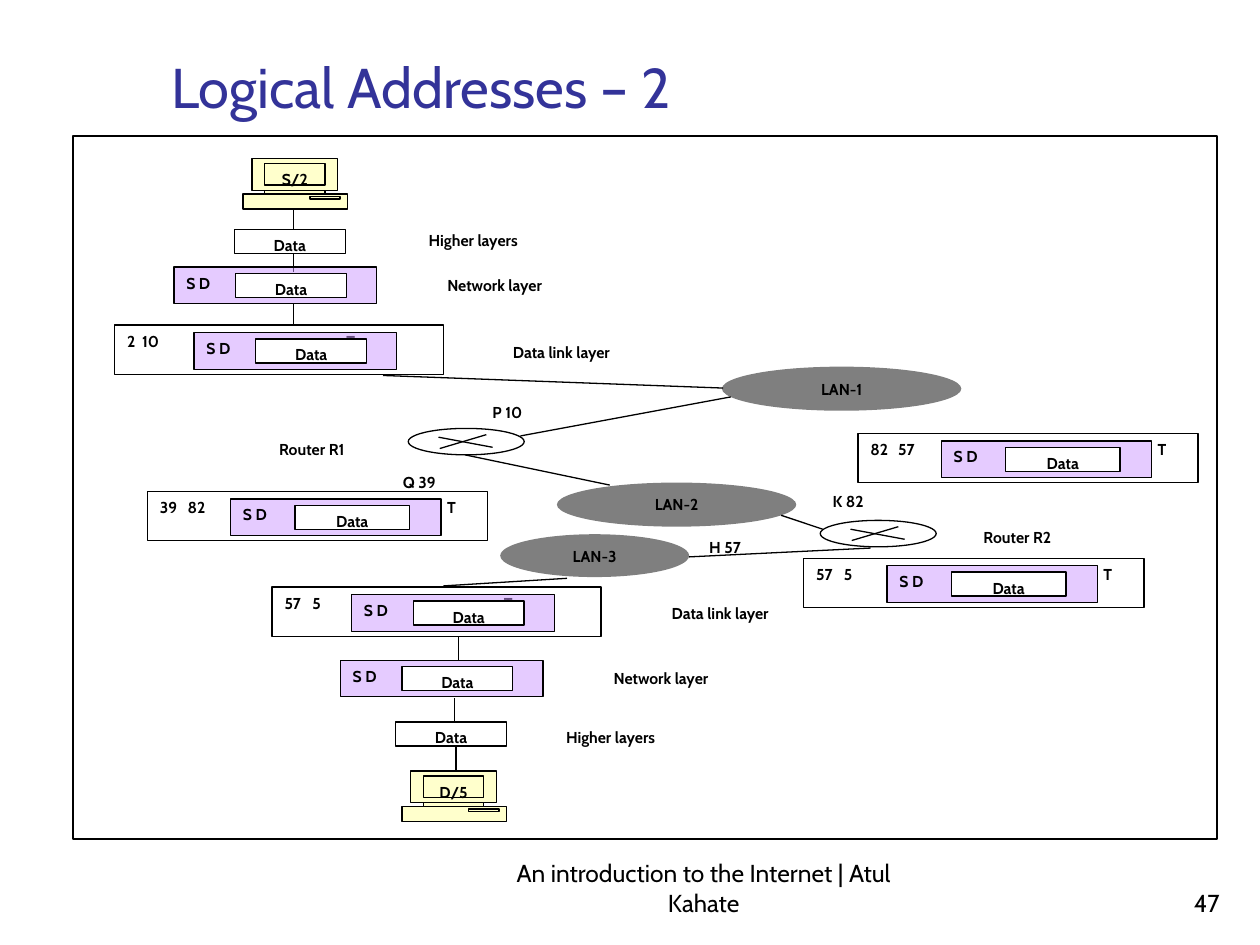
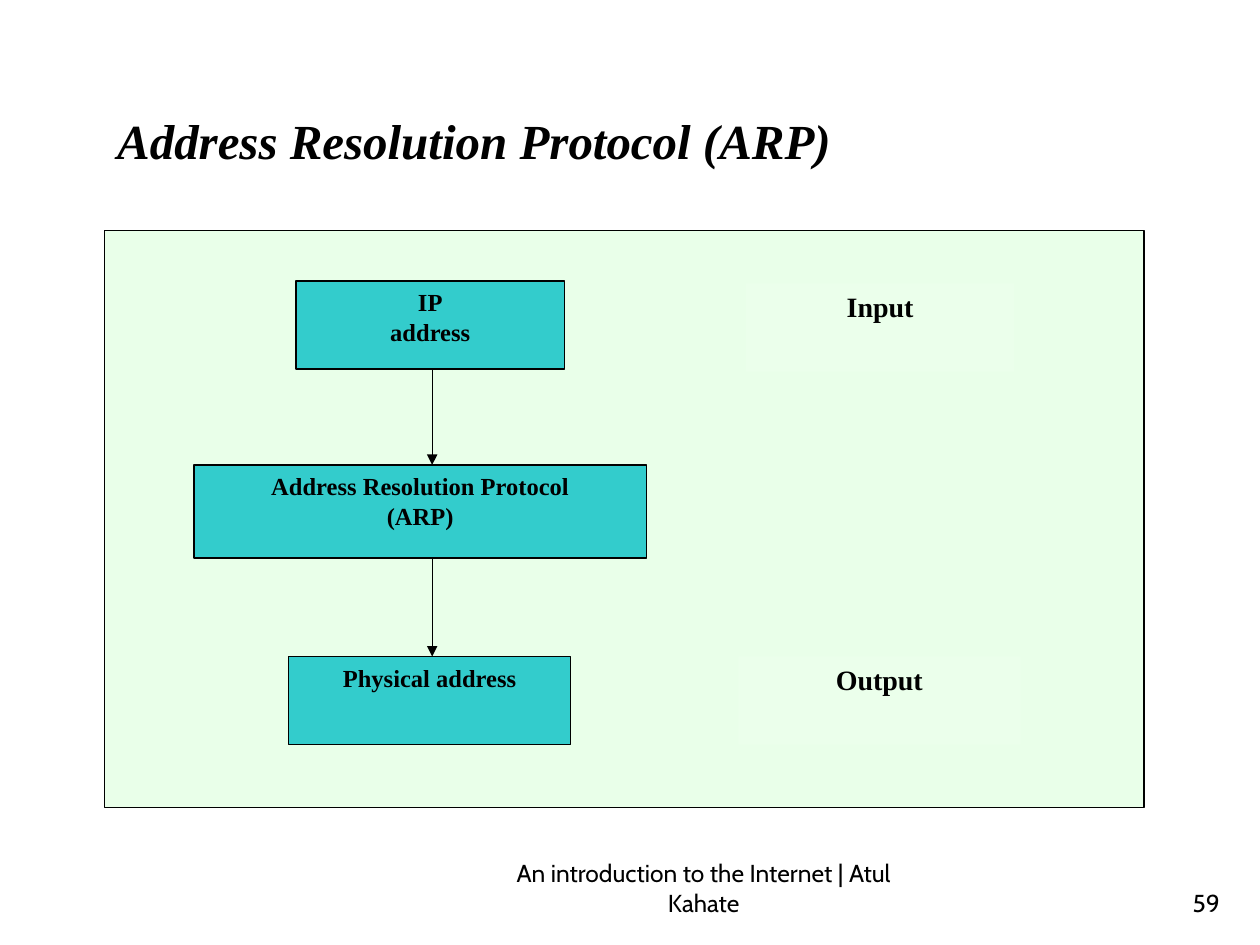
"""Build two slides on logical addresses and address resolution."""
from dataclasses import dataclass
from typing import Optional

from lxml.etree import SubElement
from pptx import Presentation
from pptx.dml.color import RGBColor
from pptx.enum.shapes import MSO_CONNECTOR, MSO_SHAPE
from pptx.enum.text import MSO_ANCHOR, MSO_AUTO_SIZE, PP_ALIGN
from pptx.oxml.ns import qn
from pptx.util import Inches, Pt

COLORS = {
    "black": "000000", "white": "FFFFFF", "title": "333399", "header": "CC99FF",
    "computer": "FFFFCC", "panel": "E9FFE9", "step": "33CCCC", "caption": "EBFFEB",
}
SANS, SERIF = "Cabin", "Times New Roman"
FOOTER = "An introduction to the Internet | Atul Kahate"
LINE_WIDTH = Pt(0.75)


@dataclass(frozen=True)
class Box:
    """A labelled rectangle or ellipse, in inches."""
    text: str
    left: float
    top: float
    width: float
    height: float


@dataclass(frozen=True)
class Packet:
    """A network packet with its inner data box."""
    left: float
    top: float
    wide: bool = False


@dataclass(frozen=True)
class Frame:
    """A data link frame around a packet."""
    source: str
    target: str
    left: float
    top: float
    wide: bool = False


@dataclass(frozen=True)
class Link:
    """A straight line between two points."""
    x1: float
    y1: float
    x2: float
    y2: float


def rgb(name: str) -> RGBColor:
    """Return the palette colour called name."""
    return RGBColor.from_string(COLORS[name])


def write(shape, text: str, *, size: float = 9, font: str = SANS, color: str = "black",
          bold: bool = True, italic: bool = False, align=PP_ALIGN.CENTER,
          anchor=MSO_ANCHOR.TOP, wrap: bool = True, tabs: tuple = ()) -> None:
    """Write text into a shape, one paragraph for each line."""
    text_frame = shape.text_frame
    text_frame.auto_size = MSO_AUTO_SIZE.NONE
    text_frame.word_wrap = wrap
    text_frame.vertical_anchor = anchor
    for index, line in enumerate(text.split("\n")):
        paragraph = text_frame.add_paragraph() if index else text_frame.paragraphs[0]
        paragraph.alignment = align
        if tabs:
            tab_list = SubElement(paragraph._p.get_or_add_pPr(), qn("a:tabLst"))
            for position in tabs:
                SubElement(tab_list, qn("a:tab"), pos=str(Inches(position)), algn="l")
        run = paragraph.add_run()
        run.text = line
        run.font.size = Pt(size)
        run.font.name = font
        run.font.bold = bold
        run.font.italic = italic
        run.font.color.rgb = rgb(color)


def paint(shape, fill: str, outlined: bool = True, alpha: Optional[int] = None) -> None:
    """Set the fill, outline and opacity percentage of a shape."""
    shape.shadow.inherit = False
    shape.fill.solid()
    shape.fill.fore_color.rgb = rgb(fill)
    if alpha is not None:
        color = shape._element.spPr.find(qn("a:solidFill"))[0]
        SubElement(color, qn("a:alpha"), val=str(alpha * 1000))
    if outlined:
        shape.line.color.rgb = rgb("black")
        shape.line.width = LINE_WIDTH
    else:
        shape.line.fill.background()


def add_box(slide, box: Box, fill: str = "white", outlined: bool = True,
            alpha: Optional[int] = None, preset=MSO_SHAPE.RECTANGLE, **text_format):
    """Draw a box and its text."""
    shape = slide.shapes.add_shape(preset, Inches(box.left), Inches(box.top),
                                   Inches(box.width), Inches(box.height))
    paint(shape, fill, outlined, alpha)
    if box.text:
        write(shape, box.text, **text_format)
    return shape


def add_link(slide, link: Link, arrow: bool = False) -> None:
    """Draw a line, with an arrowhead at its end if wanted."""
    connector = slide.shapes.add_connector(
        MSO_CONNECTOR.STRAIGHT, Inches(link.x1), Inches(link.y1),
        Inches(link.x2), Inches(link.y2))
    connector.line.color.rgb = rgb("black")
    connector.line.width = LINE_WIDTH
    properties = connector._element.spPr
    if arrow:
        SubElement(properties.find(qn("a:ln")), qn("a:tailEnd"), type="triangle")
    SubElement(properties, qn("a:effectLst"))


def add_packet(slide, packet: Packet) -> None:
    """Draw the packet header area and the data inside it."""
    width, inset, data_width = (1.67, 0.51, 0.91) if packet.wide else (1.61, 0.49, 0.88)
    add_box(slide, Box("S D", packet.left, packet.top, width, 0.29), "header",
            alpha=50, align=PP_ALIGN.LEFT)
    add_box(slide, Box("Data", packet.left + inset, packet.top + 0.05, data_width, 0.19))


def add_frame(slide, frame: Frame) -> None:
    """Draw a frame with its two addresses, trailer and packet."""
    width, inset, trailer = (2.7, 0.66, 2.28) if frame.wide else (2.61, 0.63, 1.74)
    target_stop = 0.02 + 0.1 * len(frame.source)
    add_box(slide, Box(f"{frame.source}\t{frame.target}\tT", frame.left, frame.top, width, 0.39),
            align=PP_ALIGN.LEFT, tabs=(target_stop, trailer))
    add_packet(slide, Packet(frame.left + inset, frame.top + 0.06, frame.wide))


def add_router(slide, left: float, top: float) -> None:
    """Draw a router as a crossed ellipse."""
    add_box(slide, Box("", left, top, 0.92, 0.21), preset=MSO_SHAPE.OVAL)
    add_link(slide, Link(left + 0.24, top + 0.07, left + 0.67, top + 0.15))
    add_link(slide, Link(left + 0.62, top + 0.05, left + 0.25, top + 0.16))


def add_computer(slide, name: str, left: float, top: float) -> None:
    """Draw a desktop computer with its name on the screen."""
    outline = [(0.75, 0), (0.75, 0.25), (0.65, 0.25), (0.65, 0.28), (0.83, 0.28),
               (0.83, 0.4), (0, 0.4), (0, 0.28), (0.17, 0.28), (0.17, 0.25), (0.07, 0.25)]
    points = [(Inches(left + x), Inches(top + y)) for x, y in outline]
    builder = slide.shapes.build_freeform(Inches(left + 0.07), Inches(top))
    builder.add_line_segments(points, close=True)
    paint(builder.convert_to_shape(), "computer")
    parts = [Box("", 0.17, 0.25, 0.48, 0.03), Box(name, 0.17, 0.04, 0.48, 0.17),
             Box("", 0.53, 0.3, 0.24, 0.02)]
    for part in parts:
        add_box(slide, Box(part.text, left + part.left, top + part.top,
                           part.width, part.height), "computer")


def add_slide(presentation, title: str, number: str, place: Box, **title_format):
    """Add a slide with its title, footer and number."""
    slide = presentation.slides.add_slide(presentation.slide_layouts[5])
    shape = slide.shapes.title
    shape.left, shape.top = Inches(place.left), Inches(place.top)
    shape.width, shape.height = Inches(place.width), Inches(place.height)
    write(shape, title, align=PP_ALIGN.LEFT, **title_format)
    for text, left, width, align in ((FOOTER, 4, 3.17, PP_ALIGN.CENTER),
                                     (number, 7.7, 2.08, PP_ALIGN.RIGHT)):
        text_box = slide.shapes.add_textbox(Inches(left), Inches(6.83),
                                            Inches(width), Inches(0.5))
        write(text_box, text, size=14, bold=False, align=align, anchor=MSO_ANCHOR.BOTTOM)
    return slide


def build_logical_addresses(presentation) -> None:
    """Build the slide that follows a packet from S to D."""
    slide = add_slide(presentation, "Logical Addresses – 2", "47",
                      Box("", 1.26, 0.23, 8.52, 0.77), size=32, color="title",
                      bold=False, anchor=MSO_ANCHOR.BOTTOM)
    add_box(slide, Box("", 0.58, 1.08, 9.08, 5.58))

    layer_labels = [
        ("Higher layers", 2.98, 1.78), ("Network layer", 3.15, 2.14),
        ("Data link layer", 3.68, 2.67), ("Data link layer", 4.94, 4.74),
        ("Network layer", 4.47, 5.26), ("Higher layers", 4.07, 5.73),
    ]
    for text, left, top in layer_labels:
        add_box(slide, Box(text, left, top, 1.55, 0.22), outlined=False)
    for text, left, top in (("Router R1", 1.86, 3.44), ("Router R2", 7.46, 4.14)):
        add_box(slide, Box(text, left, top, 1.23, 0.21), outlined=False)
    port_labels = [("P 10", 3.81, 3.15), ("Q 39", 3.1, 3.7),
                   ("K 82", 6.51, 3.85), ("H 57", 5.53, 4.22)]
    for text, left, top in port_labels:
        add_box(slide, Box(text, left, top, 0.8, 0.21), outlined=False, align=PP_ALIGN.LEFT)

    for left, top in ((1.86, 1.82), (3.14, 5.73)):
        add_box(slide, Box("Data", left, top, 0.88, 0.19))

    links = [
        Link(2.33, 1.67, 2.33, 1.82), Link(2.33, 2.02, 2.33, 2.16),
        Link(2.33, 2.41, 2.33, 2.6), Link(3.04, 2.98, 5.74, 3.08),
        Link(5.8, 3.15, 4.13, 3.46), Link(3.69, 3.61, 4.84, 3.85),
        Link(6.2, 4.09, 6.53, 4.2), Link(6.91, 4.35, 5.47, 4.42),
        Link(4.5, 4.59, 3.52, 4.65), Link(3.64, 5.04, 3.64, 5.24),
        Link(3.61, 5.54, 3.61, 5.73), Link(3.62, 5.93, 3.62, 6.12),
    ]
    for link in links:
        add_link(slide, link)

    networks = [Box("LAN-1", 5.73, 2.91, 1.9, 0.35), Box("LAN-2", 4.42, 3.83, 1.9, 0.35),
                Box("LAN-3", 3.97, 4.24, 1.5, 0.34)]
    for network in networks:
        add_box(slide, network, "black", outlined=False, alpha=50, preset=MSO_SHAPE.OVAL)
    for left, top in ((3.24, 3.4), (6.51, 4.13)):
        add_router(slide, left, top)

    for packet in (Packet(1.38, 2.12), Packet(2.7, 5.24)):
        add_packet(slide, packet)
    frames = [
        Frame("2", "10", 0.91, 2.58), Frame("57", "5", 2.16, 4.66),
        Frame("39", "82", 1.17, 3.9, wide=True), Frame("82", "57", 6.81, 3.44, wide=True),
        Frame("57", "5", 6.38, 4.43, wide=True),
    ]
    for frame in frames:
        add_frame(slide, frame)
    for name, left, top in (("S/2", 1.93, 1.26), ("D/5", 3.19, 6.12)):
        add_computer(slide, name, left, top)


def build_address_resolution(presentation) -> None:
    """Build the slide on the steps from IP address to physical address."""
    slide = add_slide(presentation, "Address Resolution Protocol (ARP)", "59",
                      Box("", 0.83, 0.83, 5.87, 1.04), size=28, font=SERIF,
                      italic=True, wrap=False)
    add_box(slide, Box("", 0.83, 1.83, 8.25, 4.58), "panel")
    steps = [Box("IP\naddress", 2.35, 2.23, 2.13, 0.7),
             Box("Address Resolution Protocol\n(ARP)", 1.54, 3.69, 3.59, 0.74),
             Box("Physical address", 2.29, 5.21, 2.24, 0.7)]
    for step in steps:
        add_box(slide, step, "step", size=14, font=SERIF)
    for upper, lower in zip(steps, steps[1:]):
        add_link(slide, Link(3.43, upper.top + upper.height, 3.43, lower.top), arrow=True)
    for caption in (Box("Input", 5.92, 2.25, 2.13, 0.7), Box("Output", 5.86, 5.21, 2.24, 0.7)):
        add_box(slide, caption, "caption", outlined=False, size=16, font=SERIF)


def main() -> None:
    """Create and save the presentation."""
    presentation = Presentation()
    presentation.slide_width, presentation.slide_height = Inches(10), Inches(7.5)
    build_logical_addresses(presentation)
    build_address_resolution(presentation)
    presentation.save("out.pptx")


if __name__ == "__main__":
    main()
